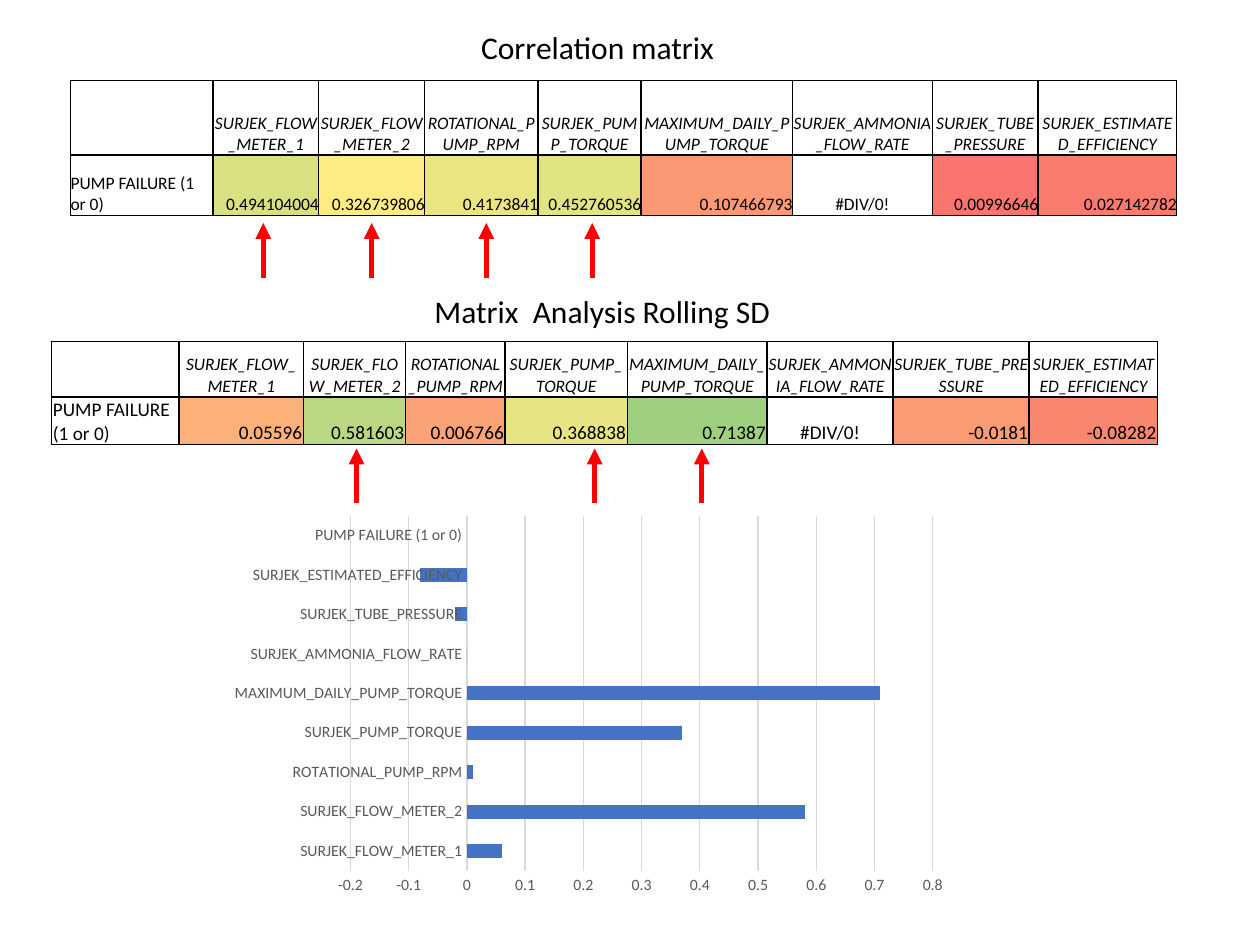
from lxml import etree
from pptx import Presentation
from pptx.chart.data import CategoryChartData
from pptx.dml.color import RGBColor
from pptx.enum.chart import XL_CHART_TYPE as ChartType, XL_TICK_MARK as TickMark
from pptx.enum.shapes import MSO_CONNECTOR as Connector
from pptx.enum.text import MSO_ANCHOR as Anchor, MSO_AUTO_SIZE as AutoSize, PP_ALIGN as Align
from pptx.oxml.ns import qn
from pptx.util import Inches, Pt

COLORS = {"text": "000000", "border": "000000", "arrow": "FF0000",
          "bar": "4472C4", "axis_text": "595959", "grid": "D9D9D9"}
FONT = "Calibri"
TARGET = "PUMP FAILURE (1 or 0)"
NO_VALUE = "#DIV/0!"
SENSORS = ["SURJEK_FLOW_METER_1", "SURJEK_FLOW_METER_2", "ROTATIONAL_PUMP_RPM",
           "SURJEK_PUMP_TORQUE", "MAXIMUM_DAILY_PUMP_TORQUE", "SURJEK_AMMONIA_FLOW_RATE",
           "SURJEK_TUBE_PRESSURE", "SURJEK_ESTIMATED_EFFICIENCY"]

# Each result is the shown value and its heat colour.
CORRELATION = [("0.494104004", "D9E082"), ("0.326739806", "FFEB84"), ("0.4173841", "EAE583"),
               ("0.452760536", "E2E383"), ("0.107466793", "FA9974"), (NO_VALUE, None),
               ("0.00996646", "F8746D"), ("0.027142782", "F87B6E")]
ROLLING_SD = [("0.05596", "FBB178"), ("0.581603", "BAD881"), ("0.006766", "FBA276"),
              ("0.368838", "E6E483"), ("0.71387", "9FD07F"), (NO_VALUE, None),
              ("-0.0181", "FA9B74"), ("-0.08282", "F98770")]


def rgb(name):
    return RGBColor.from_string(COLORS[name])


def format_font(font, size, color="text", italic=False):
    font.name, font.size, font.italic = FONT, Pt(size), italic
    font.color.rgb = rgb(color)


def write_text(frame, text, size=10, italic=False, align=Align.LEFT):
    paragraph = frame.paragraphs[0]
    paragraph.alignment = align
    run = paragraph.add_run()
    run.text = text
    format_font(run.font, size, italic=italic)


def add_title(slide, text, left, top, width, height):
    box = slide.shapes.add_textbox(Inches(left), Inches(top), Inches(width), Inches(height))
    box.text_frame.word_wrap = False
    box.text_frame.auto_size = AutoSize.SHAPE_TO_FIT_TEXT
    write_text(box.text_frame, text, size=18)


def add_cell_borders(cell):
    properties = cell._tc.get_or_add_tcPr()
    for index, side in enumerate(("lnL", "lnR", "lnT", "lnB")):
        line = etree.Element(qn(f"a:{side}"), w=str(Pt(1)))
        fill = etree.SubElement(line, qn("a:solidFill"))
        etree.SubElement(fill, qn("a:srgbClr"), val=COLORS["border"])
        properties.insert(index, line)


def format_cell(cell, margin, fill=None):
    cell.vertical_anchor = Anchor.BOTTOM
    cell.margin_left = cell.margin_right = cell.margin_top = Inches(margin)
    cell.margin_bottom = 0
    if fill:
        cell.fill.solid()
        cell.fill.fore_color.rgb = RGBColor.from_string(fill)
    else:
        cell.fill.background()
    add_cell_borders(cell)


def add_matrix(slide, results, left, top, widths, heights, value_size, margin):
    """Add a heat table with one column per sensor and one row of results."""
    frame = slide.shapes.add_table(len(heights), len(widths), Inches(left), Inches(top),
                                   Inches(sum(widths)), Inches(sum(heights)))
    table = frame.table
    table.first_row = table.horz_banding = False
    for column, width in zip(table.columns, widths):
        column.width = Inches(width)
    for row, height in zip(table.rows, heights):
        row.height = Inches(height)

    format_cell(table.cell(0, 0), margin)
    format_cell(table.cell(1, 0), margin)
    write_text(table.cell(1, 0).text_frame, TARGET, size=value_size)
    for index, (sensor, (value, fill)) in enumerate(zip(SENSORS, results), start=1):
        header, result = table.cell(0, index), table.cell(1, index)
        format_cell(header, margin)
        write_text(header.text_frame, sensor, italic=True, align=Align.CENTER)
        format_cell(result, margin, fill)
        align = Align.CENTER if value == NO_VALUE else Align.RIGHT
        write_text(result.text_frame, value, size=value_size, align=align)


def add_up_arrows(slide, centers, top, height):
    for center in centers:
        arrow = slide.shapes.add_connector(Connector.STRAIGHT, Inches(center),
                                           Inches(top + height), Inches(center), Inches(top))
        arrow.line.color.rgb = rgb("arrow")
        arrow.line.width = Pt(3)
        etree.SubElement(arrow.line._get_or_add_ln(), qn("a:tailEnd"), type="triangle")
        etree.SubElement(arrow._element.spPr, qn("a:effectLst"))


def add_bar_chart(slide, results, left, top, width, height):
    data = CategoryChartData()
    data.categories = SENSORS + [TARGET]
    values = [0 if value == NO_VALUE else round(float(value), 2) for value, _ in results]
    data.add_series("Series 1", values + [None])
    chart = slide.shapes.add_chart(ChartType.BAR_CLUSTERED, Inches(left), Inches(top),
                                   Inches(width), Inches(height), data).chart
    chart.has_legend = chart.has_title = False
    format_font(chart.font, 10)

    plot = chart.plots[0]
    plot.gap_width = 182
    plot.vary_by_categories = False
    series = plot.series[0]
    series.invert_if_negative = False
    series.format.fill.solid()
    series.format.fill.fore_color.rgb = rgb("bar")

    categories, scale = chart.category_axis, chart.value_axis
    for axis in (categories, scale):
        axis.major_tick_mark = axis.minor_tick_mark = TickMark.NONE
        format_font(axis.tick_labels.font, 9, color="axis_text")
    scale.minimum_scale, scale.maximum_scale, scale.major_unit = -0.2, 0.8, 0.1
    scale.has_major_gridlines = True
    scale.format.line.fill.background()
    for line in (categories.format.line, scale.major_gridlines.format.line):
        line.color.rgb = rgb("grid")
        line.width = Pt(0.75)


def main():
    presentation = Presentation()
    presentation.slide_width, presentation.slide_height = Inches(10), Inches(7.5)
    slide = presentation.slides.add_slide(presentation.slide_layouts[6])

    add_matrix(slide, CORRELATION, left=0.56, top=0.64,
               widths=[1.13, 0.84, 0.84, 0.9, 0.82, 1.2, 1.11, 0.84, 1.1],
               heights=[0.59, 0.48], value_size=10, margin=0)
    add_title(slide, "Correlation matrix", 3.72, 0.17, 2.12, 0.4)
    add_up_arrows(slide, [2.09, 2.95, 3.86, 4.7], top=1.77, height=0.44)

    add_matrix(slide, ROLLING_SD, left=0.41, top=2.71,
               widths=[1.01, 0.99, 0.81, 0.79, 0.97, 1.11, 1, 1.08, 1.02],
               heights=[0.44, 0.38], value_size=11, margin=0.01)
    add_title(slide, "Matrix  Analysis Rolling SD", 3.35, 2.27, 2.86, 0.4)
    add_up_arrows(slide, [2.83, 4.72, 5.57], top=3.56, height=0.43)

    add_bar_chart(slide, ROLLING_SD, 1.77, 4.03, 5.85, 3.13)
    presentation.save("out.pptx")


if __name__ == "__main__":
    main()
